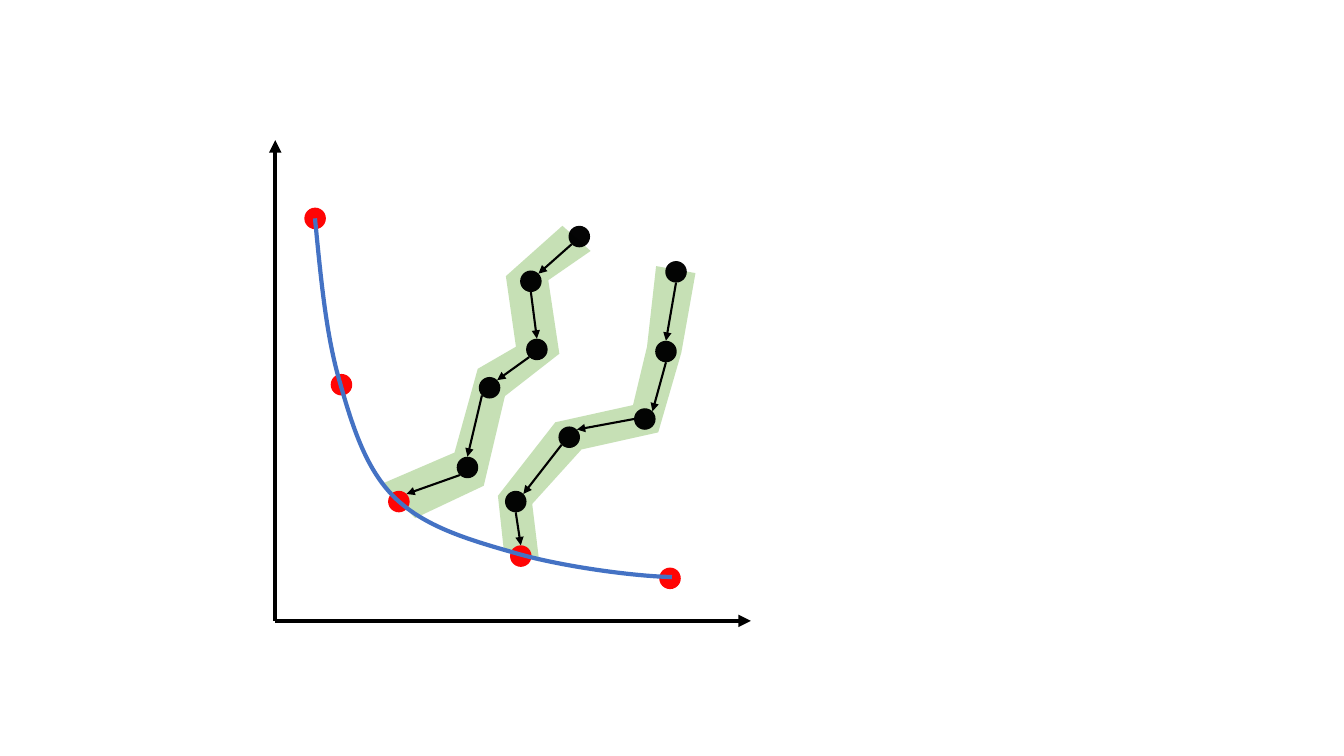
"""Draw two descent routes that end on a front curve between two axes."""
from math import cos, pi, sin
from typing import NamedTuple

from lxml.etree import SubElement
from pptx import Presentation
from pptx.dml.color import RGBColor
from pptx.enum.shapes import MSO_CONNECTOR as Link, MSO_SHAPE as Form
from pptx.oxml.ns import qn
from pptx.shapes.autoshape import Shape
from pptx.shapes.connector import Connector
from pptx.util import Pt

BLACK = RGBColor(0x00, 0x00, 0x00)
RED = RGBColor(0xFF, 0x00, 0x00)
GREEN = RGBColor(0xC5, 0xE0, 0xB4)
BLUE = RGBColor(0x44, 0x72, 0xC4)
SIZE = 15.4
TOP, LEFT, LOW_LEFT, BOTTOM, TOP_RIGHT = 0, 2, 3, 4, 7
Spot = tuple[float, float]


class Route(NamedTuple):
    """Black dots, the index of the red goal, and the sites each arrow joins."""
    dots: list[Spot]
    goal: int
    joins: list[tuple[int, int]]


BANDS: list[list[Spot]] = [
    [(468.7, 190.1), (462.2, 247.7), (452.2, 289.4), (396.7, 301.7),
     (355.7, 354.2), (360, 393.8), (385.2, 401), (380.2, 360),
     (415.4, 321.1), (470.2, 308.9), (486.7, 252), (496.8, 195.1)],
    [(401.8, 161.3), (361.4, 197.3), (368.6, 247.7), (341.3, 263.5),
     (324.7, 323.3), (272.9, 345.6), (296.6, 370.1), (345.6, 347),
     (360.7, 283), (399.6, 252.7), (391.7, 200.2), (421.9, 179.3)],
]
ORIGIN: Spot = (196.6, 443.5)
TIPS: list[Spot] = [(536.4, 443.5), (196.6, 100.1)]
GOALS: list[Spot] = [(277.2, 350.6), (236.2, 267.1), (364.3, 389.5),
                     (470.9, 405.4), (217.4, 148.3)]
FRONT: list[Spot] = [
    (225, 156), (229, 196.6), (232.6, 236.9), (241.9, 270),
    (251.3, 303.1), (260.6, 334.1), (281.5, 355),
    (302.4, 375.8), (333.4, 385.2), (366.5, 394.6),
    (399.6, 404.6), (453.6, 411.8), (480, 412.2)]
ROUTES = [
    Route([(406.1, 161.3), (371.5, 193.2), (375.8, 241.9), (342, 269.3),
           (326.2, 326.2)], 0,
          [(LOW_LEFT, TOP_RIGHT), (BOTTOM, TOP), (LOW_LEFT, TOP_RIGHT),
           (LOW_LEFT, TOP), (LOW_LEFT, TOP_RIGHT)]),
    Route([(475.2, 186.5), (468, 243.4), (452.9, 291.6), (398.9, 304.6),
           (360.7, 350.6)], 2,
          [(BOTTOM, TOP), (BOTTOM, TOP_RIGHT), (LEFT, TOP_RIGHT),
           (LOW_LEFT, TOP_RIGHT), (BOTTOM, TOP)]),
]


def paint(shape: Shape, color: RGBColor) -> None:
    """Fill a shape without outline or shadow."""
    shape.shadow.inherit = False
    shape.line.fill.background()
    shape.fill.solid()
    shape.fill.fore_color.rgb = color
    tint = next(shape.element.spPr.iter(qn("a:srgbClr")))
    SubElement(tint, qn("a:alpha"), val="98000")


def trace(shapes, spots: list[Spot], close: bool) -> Shape:
    """Build an outline through the given spots."""
    first, *rest = [(Pt(x), Pt(y)) for x, y in spots]
    pen = shapes.build_freeform(*first)
    pen.add_line_segments(rest, close=close)
    return pen.convert_to_shape()


def add_dot(shapes, spot: Spot, color: RGBColor) -> Shape:
    """Add a round dot."""
    x, y = spot
    dot = shapes.add_shape(Form.OVAL, Pt(x), Pt(y), Pt(SIZE), Pt(SIZE))
    paint(dot, color)
    return dot


def add_arrow(shapes, start: Spot, end: Spot, width: float) -> Connector:
    """Add a black arrow."""
    ends = [Pt(n) for n in start + end]
    arrow = shapes.add_connector(Link.STRAIGHT, *ends)
    arrow.line.color.rgb = BLACK
    looks = {"width": Pt(width)}
    for name, value in looks.items():
        setattr(arrow.line, name, value)
    SubElement(arrow.line.color and arrow.element.spPr.find(qn("a:ln")),
               qn("a:tailEnd"), type="triangle")
    SubElement(arrow.element.spPr, qn("a:effectLst"))
    return arrow


def site(spot: Spot, index: int) -> Spot:
    """Find one of the eight joining sites on a dot's rim."""
    half, turn = SIZE / 2, pi / 2 + index * pi / 4
    return (spot[0] + half * (1 + cos(turn)), spot[1] + half * (1 - sin(turn)))


def add_front(shapes) -> None:
    """Draw the smooth blue front, three spots to a bend."""
    front = trace(shapes, FRONT, False)
    front.shadow.inherit = False
    front.fill.background()
    front.line.color.rgb = BLUE
    front.line.width = Pt(3)
    steps = list(front.element.iter(qn("a:lnTo")))
    for i in range(0, len(steps), 3):
        bend = SubElement(steps[i].getparent(), qn("a:cubicBezTo"))
        for step in steps[i:i + 3]:
            bend.append(step[0])
            step.getparent().remove(step)


def add_route(shapes, route: Route, goals: list[Shape]) -> None:
    """Draw a route's dots and join them down to its goal."""
    dots = [add_dot(shapes, spot, BLACK) for spot in route.dots]
    dots.append(goals[route.goal])
    spots = route.dots + [GOALS[route.goal]]
    for i, (head, tail) in enumerate(route.joins):
        arrow = add_arrow(shapes, site(spots[i], head),
                          site(spots[i + 1], tail), 1.5)
        joint = next(arrow.element.iter(qn("p:cNvCxnSpPr")))
        for tag, dot, index in (("a:stCxn", dots[i], head),
                                ("a:endCxn", dots[i + 1], tail)):
            SubElement(joint, qn(tag), id=str(dot.shape_id), idx=str(index))


def main() -> None:
    """Build and save the slide."""
    deck = Presentation()
    deck.slide_width, deck.slide_height = Pt(960), Pt(540)
    shapes = deck.slides.add_slide(deck.slide_layouts[6]).shapes
    for band in BANDS:
        paint(trace(shapes, band, True), GREEN)
    axes = shapes.add_group_shape()
    for tip in TIPS:
        add_arrow(axes.shapes, ORIGIN, tip, 3)
    goals = [add_dot(shapes, spot, RED) for spot in GOALS]
    add_front(shapes)
    for route in ROUTES:
        add_route(shapes, route, goals)
    deck.save("out.pptx")


if __name__ == "__main__":
    main()
